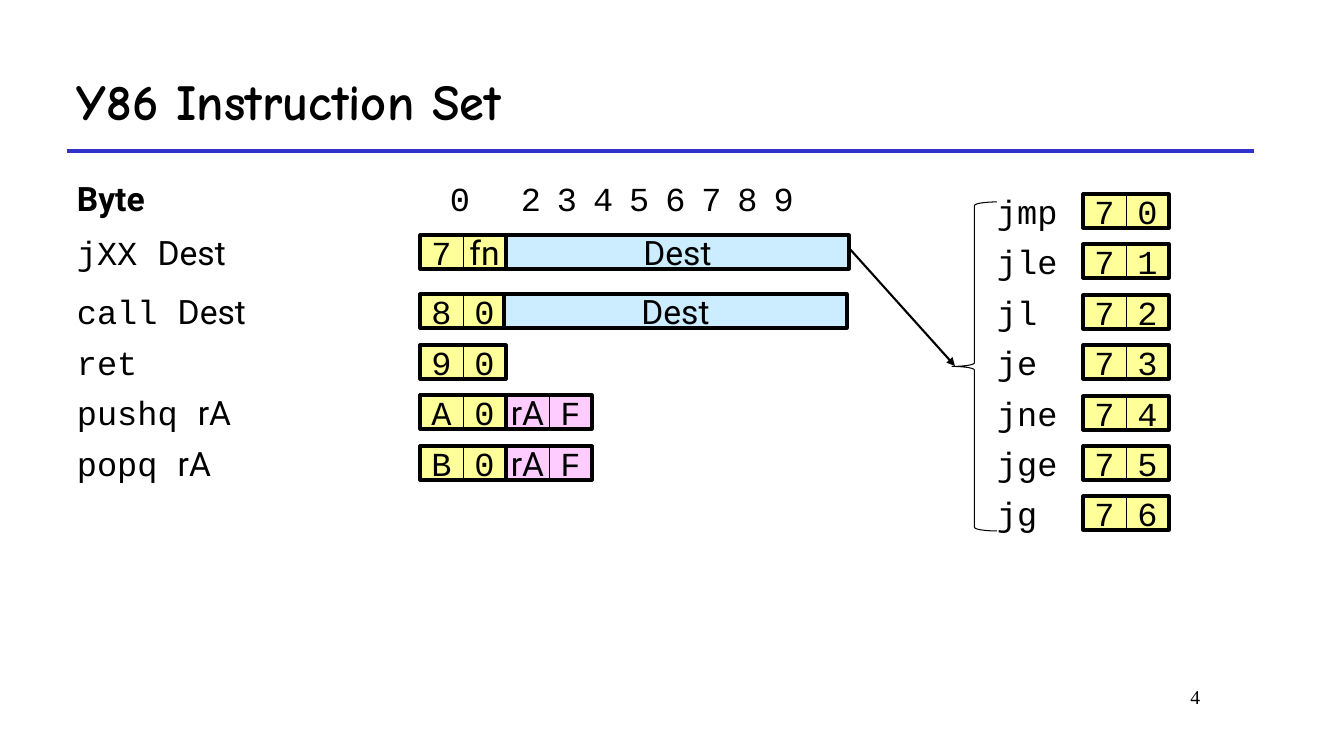
from lxml import etree
from pptx import Presentation
from pptx import util as u
from pptx.dml.color import RGBColor
from pptx.enum import shapes, text
from pptx.oxml.ns import qn

SCALE = 914400 / 100.8
MONO, SANS = "Courier New", "Roboto"
BLACK, WHITE, RULE = "000000", "FFFFFF", "3333CC"
YELLOW, PINK, BLUE = "FFFF99", "FFCCFF", "CCECFF"

TITLE = "Y86 Instruction Set"
PAGE = "4"
JUMPS = ["jmp", "jle", "jl", "je", "jne", "jge", "jg"]
INSTRUCTIONS = [
    (235, "jXX ", "Dest", ["7", "fn"], [], 506),
    (294, "call ", "Dest", ["8", "0"], [], 504),
    (345, "ret", "", ["9", "0"], [], None),
    (395, "pushq ", "rA", ["A", "0"], ["rA", "F"], None),
    (446, "popq ", "rA", ["B", "0"], ["rA", "F"], None),
]
SANS_CELLS = {"fn", "rA"}
BYTE_DIGITS = [(440, 86, "0", 0), (511, 310, "2 3 4 5 6 7 8 9", -150)]

LABEL_LEFT, LABEL_WIDTH = 67, 268
CODE_LEFT, JUMP_LEFT, JUMP_LABEL_LEFT = 420, 1083, 987
JUMP_TOP, JUMP_STEP, BYTE_TOP = 194, 50.4, 181
CELL, ROW, DEST_WIDTH = 43, 34, 343


def px(*lengths):
    return [round(length * SCALE) for length in lengths]


def color(value):
    return RGBColor.from_string(value)


def write(shape, runs, align="LEFT", size=24, bold=False, spacing=0,
          wrap=False, anchor="MIDDLE"):
    frame = shape.text_frame
    frame.word_wrap = wrap
    frame.vertical_anchor = text.MSO_ANCHOR[anchor]
    paragraph = frame.paragraphs[0]
    paragraph.alignment = text.PP_ALIGN[align]
    for words, font in runs:
        run = paragraph.add_run()
        run.text = words
        run.font.name = font
        run.font.size = u.Pt(size)
        run.font.bold = bold
        run.font.color.rgb = color(BLACK)
        if spacing:
            run.font._element.set("spc", str(spacing))


def add_box(left, top, width, height, fill=None, line=0, kind="RECTANGLE"):
    shape = slide.shapes.add_shape(
        shapes.MSO_SHAPE[kind], *px(left, top, width, height))
    shape.shadow.inherit = False
    if fill:
        shape.fill.solid()
        shape.fill.fore_color.rgb = color(fill)
    else:
        shape.fill.background()
    if line:
        shape.line.color.rgb = color(BLACK)
        shape.line.width = u.Pt(line)
    else:
        shape.line.fill.background()
    return shape


def add_text(left, top, width, height, runs, **style):
    box = slide.shapes.add_textbox(*px(left, top, width, height))
    write(box, runs, **style)


def add_label(left, top, runs, **style):
    write(add_box(left, top, LABEL_WIDTH, ROW, WHITE), runs, **style)


def add_byte(left, top, halves, fill):
    for index, half in enumerate(halves):
        cell = add_box(left + index * CELL, top, CELL, ROW, fill, 0.5)
        write(cell, [(half, SANS if half in SANS_CELLS else MONO)], "CENTER")
    add_box(left, top, 2 * CELL, ROW, line=2.25)


def add_line(start, end, line_color, width, arrow=False):
    line = slide.shapes.add_connector(
        shapes.MSO_CONNECTOR.STRAIGHT, *px(*start, *end))
    line.line.color.rgb = color(line_color)
    line.line.width = u.Pt(width)
    if arrow:
        etree.SubElement(line.line._get_or_add_ln(), qn("a:tailEnd"), type="triangle")
    etree.SubElement(line._element.spPr, qn("a:effectLst"))


presentation = Presentation()
presentation.slide_width, presentation.slide_height = px(1344, 756)
slide = presentation.slides.add_slide(presentation.slide_layouts[6])

add_line((67, 151), (1254, 151), RULE, 3)
add_text(67, 50, 1187, 101, [(TITLE, "Comic Neue")], size=36, bold=True, wrap=True)
add_text(1019, 680, 191, 50, [(PAGE, "Times New Roman")], align="RIGHT",
         size=14, wrap=True, anchor="TOP")

for index, name in enumerate(JUMPS):
    top = JUMP_TOP + round(index * JUMP_STEP)
    add_label(JUMP_LABEL_LEFT, top, [(name, MONO)])
    add_byte(JUMP_LEFT, top, ["7", str(index)], YELLOW)

add_label(LABEL_LEFT, BYTE_TOP, [("Byte", SANS)], bold=True)
for left, width, digits, spacing in BYTE_DIGITS:
    add_text(left, BYTE_TOP, width, ROW, [(digits, MONO)], spacing=spacing)

for top, name, operand, opcode, registers, dest_left in INSTRUCTIONS:
    runs = [(name, MONO)] + ([(operand, SANS)] if operand else [])
    add_label(LABEL_LEFT, top, runs)
    add_byte(CODE_LEFT, top, opcode, YELLOW)
    if registers:
        add_byte(CODE_LEFT + 2 * CELL, top, registers, PINK)
    if dest_left:
        dest = add_box(dest_left, top, DEST_WIDTH, ROW, BLUE, 2.25)
        write(dest, [("Dest", SANS)], "CENTER")

add_line((849, 248), (955, 366), BLACK, 1.5, arrow=True)
brace = add_box(952, 202, 45, 329, line=0.75, kind="LEFT_BRACE")
brace.adjustments[0] = 0.08

presentation.save("out.pptx")
